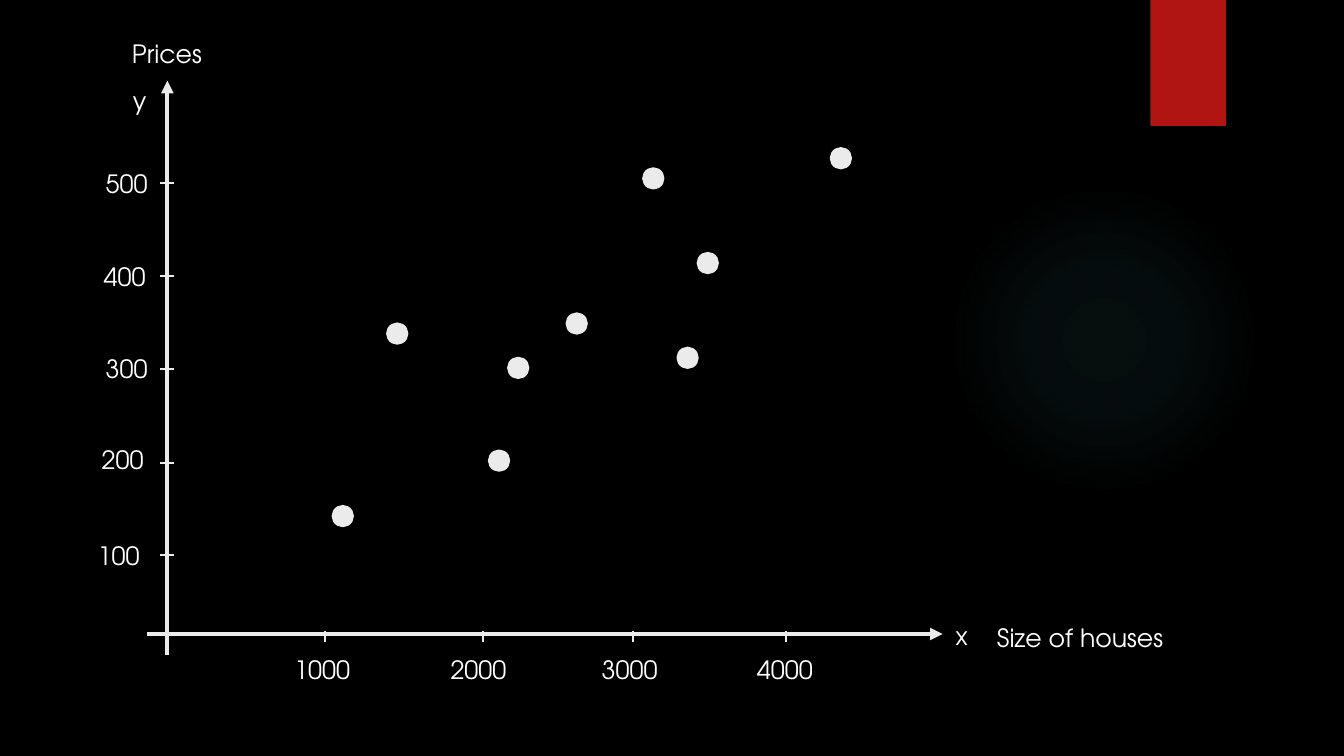
"""Draw a scatter of house prices against house sizes."""
from dataclasses import dataclass

from lxml.etree import SubElement
from pptx import Presentation
from pptx.dml.color import RGBColor as Rgb
from pptx.enum.shapes import MSO_CONNECTOR as Link, MSO_SHAPE as Form
from pptx.enum.text import MSO_AUTO_SIZE as Auto
from pptx.oxml import parse_xml
from pptx.oxml.ns import nsdecls, qn
from pptx.shapes.autoshape import Shape
from pptx.slide import Slide
from pptx.util import Inches, Pt

HUES = {"back": "000000", "mark": "EBEBEB", "text": "FFFFFF",
        "flag": "B01513", "glow": "50B9C1"}
FONT = {"name": "TeX Gyre Adventor", "size": Pt(18)}
FRAME = {"word_wrap": False, "auto_size": Auto.SHAPE_TO_FIT_TEXT}
GLOW = ((0, 7), (36, 6), (69, 0))
DOT = 0.2


@dataclass(frozen=True)
class Dot:
    """Top left corner of a data point."""
    left: float
    top: float


@dataclass(frozen=True)
class Line:
    """Straight stroke with an optional arrowhead."""
    x1: float
    y1: float
    x2: float
    y2: float
    width: float = 1.5
    arrow: bool = False


@dataclass(frozen=True)
class Label:
    """Short text in its box."""
    text: str
    left: float
    top: float
    width: float


AXES = (Line(1.66, 6.5, 1.66, 0.8, 3, True),
        Line(1.46, 6.29, 9.35, 6.29, 3, True))
TICKS = (*(Line(x, 6.26, x, 6.37) for x in (3.22, 4.79, 6.28, 7.8)),
         *(Line(1.59, y, 1.73, y) for y in (5.51, 4.59, 3.66, 2.74, 1.82)))
DOTS = (Dot(3.3, 5.02), Dot(3.84, 3.21), Dot(4.85, 4.47), Dot(5.04, 3.55),
        Dot(5.62, 3.11), Dot(6.38, 1.67), Dot(6.72, 3.45), Dot(6.92, 2.51),
        Dot(8.24, 1.47))
SIZES = (2.82, 4.37, 5.87, 7.41)
COSTS = ((0.87, 5.31), (0.91, 4.36), (0.95, 3.46), (0.93, 2.54), (0.95, 1.62))
LABELS = (Label("Prices", 1.21, 0.33, 0.9),
          Label("y", 1.22, 0.8, 0.34),
          Label("x", 9.38, 6.11, 0.32),
          Label("Size of houses", 9.79, 6.12, 1.87),
          *(Label(str(1000 * n), x, 6.44, 0.76)
            for n, x in enumerate(SIZES, 1)),
          *(Label(str(100 * n), x, y, 0.62)
            for n, (x, y) in enumerate(COSTS, 1)))


def hue(key: str) -> Rgb:
    """Look up a colour."""
    return Rgb.from_string(HUES[key])


def add_form(slide: Slide, form: Form, box: tuple, key: str) -> Shape:
    """Add a filled shape without outline or shadow."""
    shape = slide.shapes.add_shape(form, *map(Inches, box))
    shape.shadow.inherit = False
    shape.fill.solid()
    shape.fill.fore_color.rgb = hue(key)
    shape.line.fill.background()
    return shape


def add_glow(slide: Slide) -> None:
    """Add the faint round glow."""
    shape = add_form(slide, Form.OVAL, (9.41, 1.83, 3.08, 3.08), "glow")
    stops = "".join(
        f'<a:gs pos="{spot * 1000}"><a:srgbClr val="{HUES["glow"]}">'
        f'<a:alpha val="{part * 1000}"/></a:srgbClr></a:gs>'
        for spot, part in GLOW)
    fill = parse_xml(
        f'<a:gradFill {nsdecls("a")}><a:gsLst>{stops}</a:gsLst>'
        '<a:path path="circle"><a:fillToRect l="50000" t="50000" '
        'r="50000" b="50000"/></a:path></a:gradFill>')
    props = shape.element.spPr
    props.replace(props.find(qn("a:solidFill")), fill)


def add_dot(slide: Slide, dot: Dot) -> None:
    """Add a data point."""
    shape = add_form(slide, Form.OVAL, (dot.left, dot.top, DOT, DOT), "mark")
    shape.line.color.rgb = hue("mark")
    shape.line.width = Pt(1.5)


def add_line(slide: Slide, line: Line) -> None:
    """Add an axis or a tick."""
    ends = map(Inches, (line.x1, line.y1, line.x2, line.y2))
    link = slide.shapes.add_connector(Link.STRAIGHT, *ends)
    link.line.color.rgb = hue("mark")
    link.line.width = Pt(line.width)
    props = link.element.spPr
    if line.arrow:
        SubElement(props.find(qn("a:ln")), qn("a:tailEnd"), type="triangle")
    SubElement(props, qn("a:effectLst"))


def add_label(slide: Slide, label: Label) -> None:
    """Add a text label."""
    box = map(Inches, (label.left, label.top, label.width, 0.4))
    frame = slide.shapes.add_textbox(*box).text_frame
    frame.text = label.text
    font = frame.paragraphs[0].runs[0].font
    font.color.rgb = hue("text")
    for part, style in ((frame, FRAME), (font, FONT)):
        for name, value in style.items():
            setattr(part, name, value)


def main() -> None:
    """Build and save the slide."""
    deck = Presentation()
    deck.slide_width, deck.slide_height = Inches(13.33), Inches(7.5)
    slide = deck.slides.add_slide(deck.slide_layouts[6])
    back = slide.background.fill
    back.solid()
    back.fore_color.rgb = hue("back")
    add_glow(slide)
    add_form(slide, Form.RECTANGLE, (11.41, 0, 0.75, 1.25), "flag")
    for line in AXES + TICKS:
        add_line(slide, line)
    for dot in DOTS:
        add_dot(slide, dot)
    for label in LABELS:
        add_label(slide, label)
    deck.save("out.pptx")


if __name__ == "__main__":
    main()
